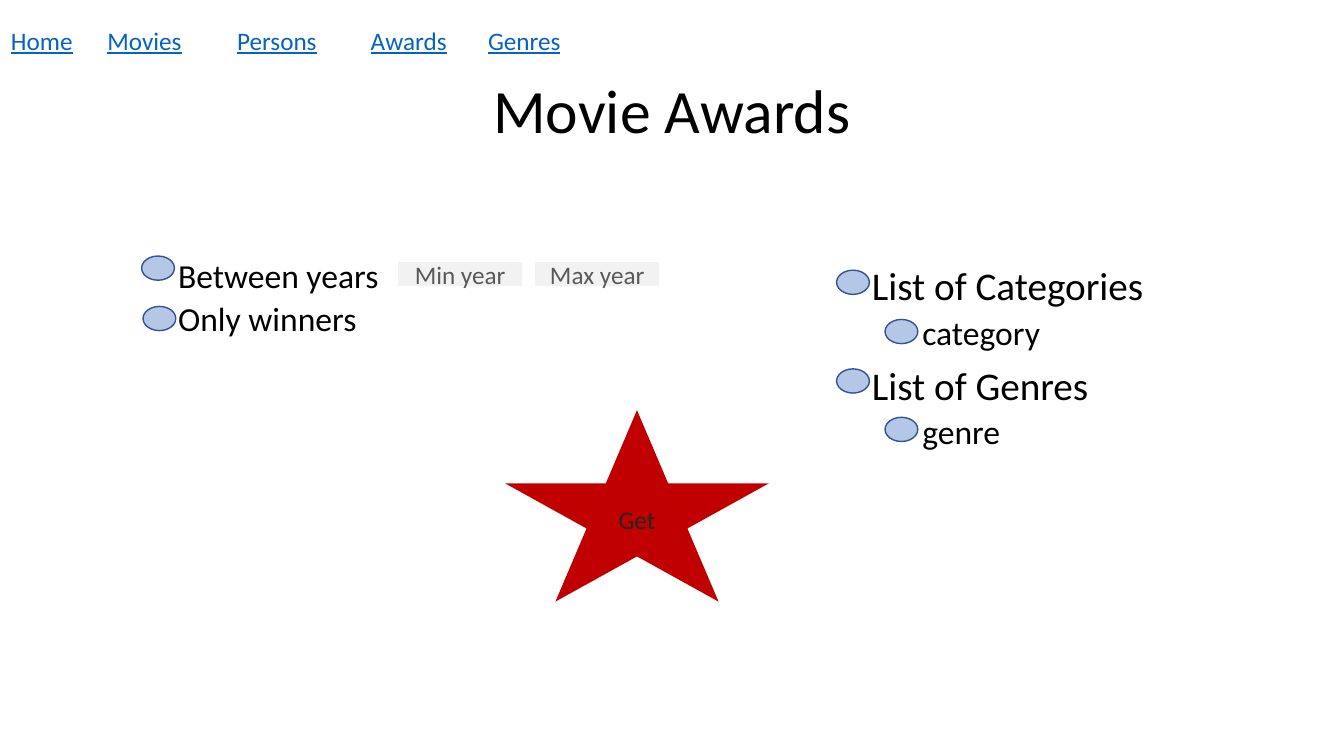
from lxml import etree
from pptx import Presentation
from pptx.dml.color import RGBColor
from pptx.enum.shapes import MSO_SHAPE
from pptx.enum.text import MSO_ANCHOR, MSO_AUTO_SIZE, PP_ALIGN
from pptx.oxml.ns import qn
from pptx.util import Pt

OVAL, RECTANGLE, STAR = MSO_SHAPE.OVAL, MSO_SHAPE.RECTANGLE, MSO_SHAPE.STAR_5_POINT
LEFT, CENTER, RIGHT = PP_ALIGN.LEFT, PP_ALIGN.CENTER, PP_ALIGN.RIGHT
TOP, MIDDLE = MSO_ANCHOR.TOP, MSO_ANCHOR.MIDDLE
NO_AUTOFIT = MSO_AUTO_SIZE.NONE
TWO_CONTENT = 3

COLORS = {
    "text": "000000",
    "link": "0563C1",
    "check": "B4C7E7",
    "check_line": "325491",
    "field": "F2F2F2",
    "hint": "595959",
    "star": "C00000",
    "button": "262626",
}


def color(name):
    return RGBColor.from_string(COLORS[name])


def write(paragraph, text, size=18, ink="text", align=LEFT, underline=None,
          spacing=None, before=0, bullet_indent=None):
    paragraph.alignment = align
    paragraph.space_before = Pt(before)
    if spacing:
        paragraph.line_spacing = spacing
    if bullet_indent:
        properties = paragraph._p.get_or_add_pPr()
        properties.set("marL", str(Pt(bullet_indent)))
        properties.set("indent", str(Pt(-18)))
        etree.SubElement(properties, qn("a:buFont"), typeface="Arial")
        etree.SubElement(properties, qn("a:buChar"), char="•")
    run = paragraph.add_run()
    run.text = text
    run.font.name = "Calibri"
    run.font.size = Pt(size)
    run.font.underline = underline
    run.font.color.rgb = color(ink)


class AwardsPage:
    def __init__(self, presentation):
        layout = presentation.slide_layouts[TWO_CONTENT]
        self.slide = presentation.slides.add_slide(layout)
        self.shapes = self.slide.shapes

    def place(self, index, left, top, width, height, anchor):
        holder = self.slide.placeholders[index]
        holder.left, holder.top = Pt(left), Pt(top)
        holder.width, holder.height = Pt(width), Pt(height)
        frame = holder.text_frame
        frame.word_wrap = True
        frame.auto_size = NO_AUTOFIT
        frame.vertical_anchor = anchor
        return frame

    def title(self, text, *box):
        frame = self.place(0, *box, MIDDLE)
        write(frame.paragraphs[0], text, size=44, align=CENTER, spacing=0.9)

    def options(self, index, items, *box):
        frame = self.place(index, *box, TOP)
        for position, (text, level) in enumerate(items):
            paragraph = frame.add_paragraph() if position else frame.paragraphs[0]
            paragraph.level = level
            before = (10, 5)[level] if position else 0
            write(paragraph, text, size=(28, 24)[level], spacing=0.9,
                  before=before, bullet_indent=(18, 54)[level])

    def link(self, text, left, width):
        box = self.shapes.add_textbox(Pt(left), Pt(14.4), Pt(width), Pt(29))
        box.text_frame.word_wrap = True
        write(box.text_frame.paragraphs[0], text, ink="link", align=RIGHT, underline=True)

    def shape(self, kind, left, top, width, height, fill, line=None, text=None, ink="text"):
        shape = self.shapes.add_shape(kind, Pt(left), Pt(top), Pt(width), Pt(height))
        shape.shadow.inherit = False
        shape.fill.solid()
        shape.fill.fore_color.rgb = color(fill)
        if line:
            shape.line.color.rgb = color(line)
            shape.line.width = Pt(1)
        else:
            shape.line.fill.background()
        if text:
            shape.text_frame.vertical_anchor = MIDDLE
            write(shape.text_frame.paragraphs[0], text, ink=ink, align=CENTER)

    def check(self, left, top):
        self.shape(OVAL, left, top, 23.4, 17.3, "check", line="check_line")

    def field(self, text, left):
        self.shape(RECTANGLE, left, 187.2, 88.6, 17.3, "field", text=text, ink="hint")


def main():
    presentation = Presentation()
    presentation.slide_width, presentation.slide_height = Pt(960), Pt(540)
    page = AwardsPage(presentation)

    page.title("Movie Awards", 66, 28.8, 828, 104.4)
    page.options(1, [("Between years", 1), ("Only winners", 1)], 66, 181.5, 307.5, 305)
    page.options(2, [("List of Categories", 0), ("category", 1),
                     ("List of Genres", 0), ("genre", 1)], 597.6, 187, 307.5, 300)

    for left, top in [(101.2, 182.9), (102.2, 218.9), (597.6, 193), (632.2, 228.2),
                      (597.6, 263.5), (632.2, 298.1)]:
        page.check(left, top)
    for hint, left in [("Min year", 284.4), ("Max year", 382.3)]:
        page.field(hint, left)
    page.shape(STAR, 360.7, 293, 188.6, 136.8, "star", text="Get", ink="button")

    for target, left, width in [("Home", -5.8, 64.8), ("Movies", 50.4, 86.4),
                                ("Persons", 146.9, 86.4), ("Awards", 245.5, 80.6),
                                ("Genres", 338.4, 69.1)]:
        page.link(target, left, width)

    presentation.save("out.pptx")


if __name__ == "__main__":
    main()
